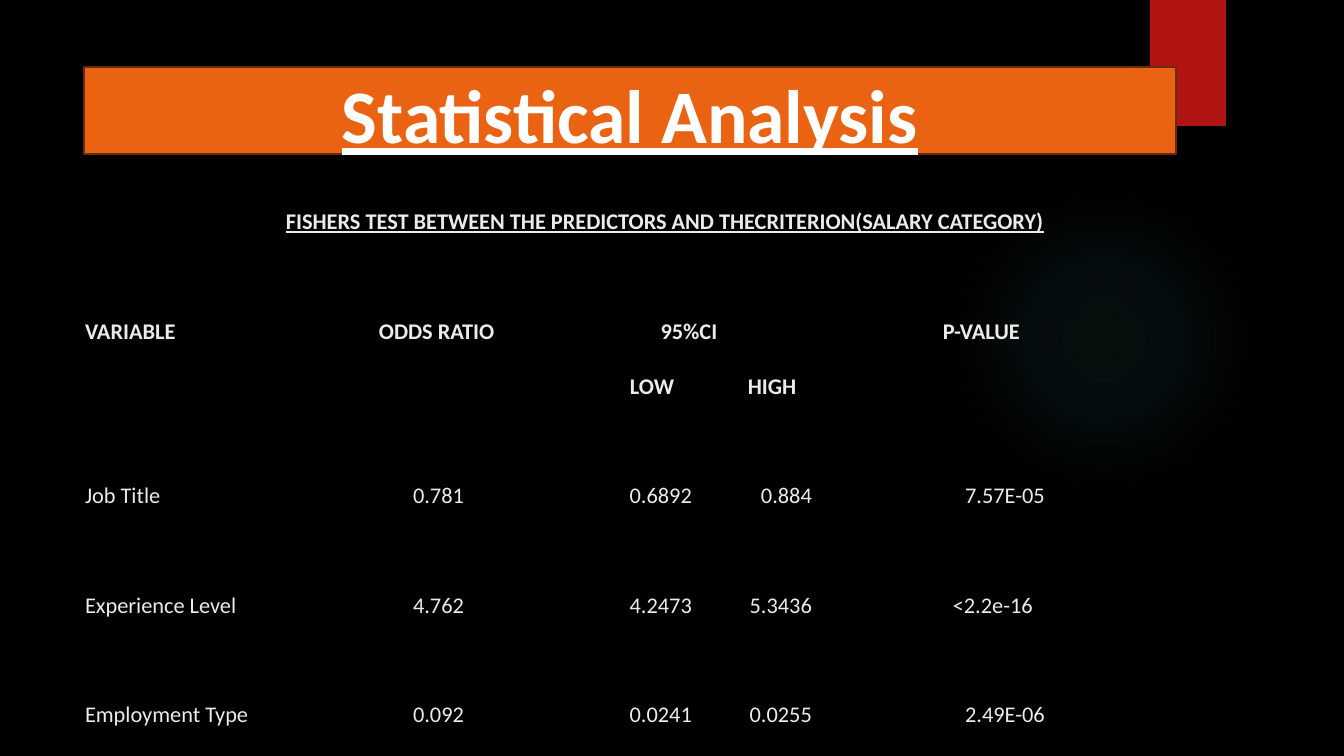
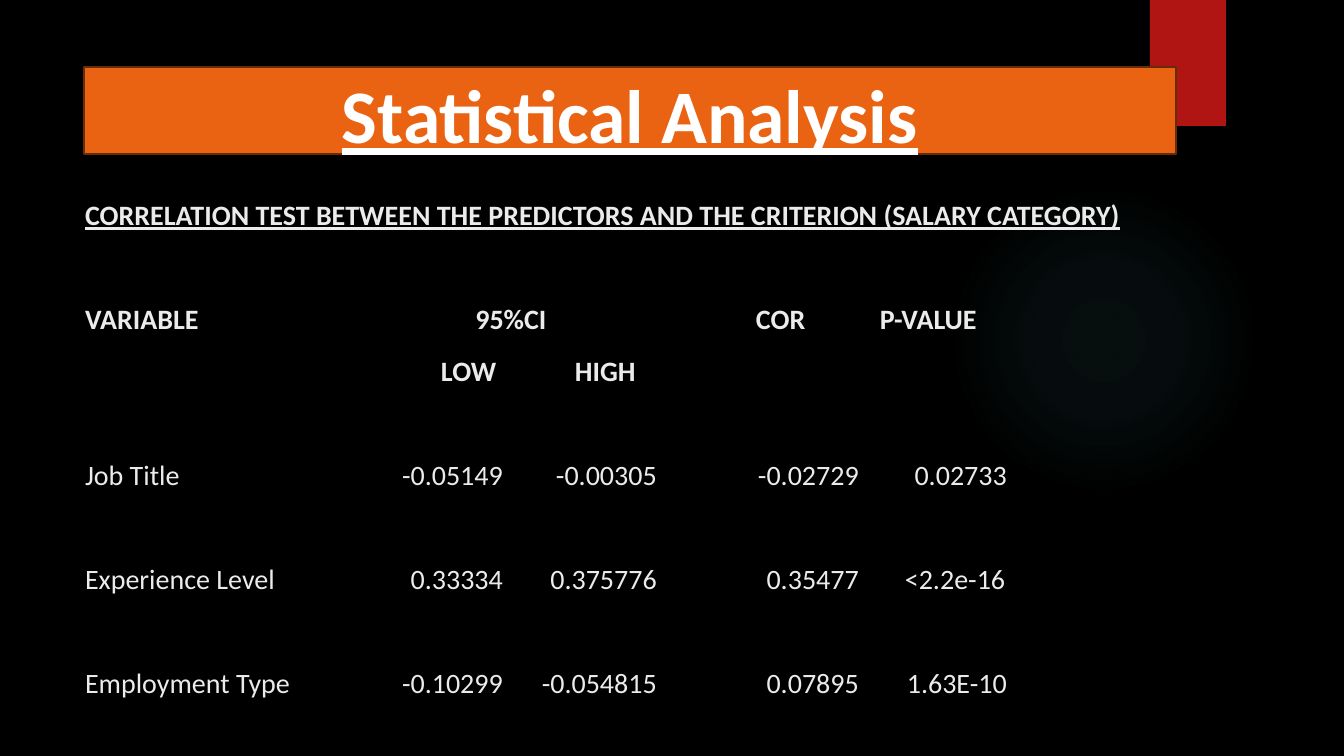
from pptx import Presentation
from pptx.dml.color import RGBColor
from pptx.enum import shapes, text
from pptx.oxml import parse_xml
from pptx.oxml.ns import nsdecls, qn
from pptx.util import Pt

PX = 914400 / 100.8
BLACK = RGBColor(0x00, 0x00, 0x00)
WHITE = RGBColor(0xFF, 0xFF, 0xFF)
LIGHT = RGBColor(0xEB, 0xEB, 0xEB)
ORANGE = RGBColor(0xEA, 0x63, 0x12)
BROWN = RGBColor(0x67, 0x2B, 0x08)
RED = RGBColor(0xB0, 0x15, 0x13)
TEAL = RGBColor(0x50, 0xB9, 0xC1)
FONT = "Calibri"
PLAIN_TABLE = "{2D5ABB26-0587-4C30-8999-92F81FD0307C}"
LEFT, CENTER, RIGHT = text.PP_ALIGN.LEFT, text.PP_ALIGN.CENTER, text.PP_ALIGN.RIGHT


def px(*lengths):
    return [round(length * PX) for length in lengths]


def style(paragraph, size, color, bold, underline):
    for run in paragraph.runs:
        run.font.name = FONT
        run.font.size = Pt(size)
        run.font.color.rgb = color
        run.font.bold = bold
        run.font.underline = underline


tests = [
    {
        "size": 16,
        "height": 548,
        "columns": [179, 100, 102, 100, 128, 120, 100, 133, 100, 100],
        "heading": ("FISHERS TEST BETWEEN THE PREDICTORS AND THECRITERION(SALARY CATEGORY)", CENTER),
        "labels": [
            (2, 0, "VARIABLE", 1, LEFT, 1),
            (2, 2, "ODDS RATIO", 2, LEFT, 16),
            (2, 4, "95%CI", 2, CENTER, 1),
            (2, 7, "P-VALUE", 1, LEFT, 30),
            (3, 4, "LOW", 1, LEFT, 65),
            (3, 5, "HIGH", 1, LEFT, 55),
        ],
        "value_columns": [2, 4, 5, 7],
        "bound_indent": 40,
        "predictors": [
            ("Job Title", 1, ["0.781", "0.6892", "0.884", "7.57E-05"]),
            ("Experience Level", 2, ["4.762", "4.2473", "5.3436", "<2.2e-16"]),
            ("Employment Type", 2, ["0.092", "0.0241", "0.0255", "2.49E-06"]),
        ],
    },
    {
        "size": 20,
        "height": 520,
        "columns": [71, 209, 140, 154, 72, 130, 148, 72, 72, 71],
        "heading": ("CORRELATION TEST BETWEEN THE PREDICTORS AND THE CRITERION (SALARY CATEGORY)", LEFT),
        "labels": [
            (2, 0, "VARIABLE", 2, LEFT, 1),
            (2, 2, "95%CI", 2, CENTER, 1),
            (2, 5, "COR", 1, LEFT, 26),
            (2, 6, "P-VALUE", 1, LEFT, 20),
            (3, 2, "LOW", 1, LEFT, 77),
            (3, 3, "HIGH", 1, LEFT, 71),
        ],
        "value_columns": [2, 3, 5, 6],
        "bound_indent": 45,
        "predictors": [
            ("Job Title", 2, ["-0.05149", "-0.00305", "-0.02729", "0.02733"]),
            ("Experience Level", 2, ["0.33334", "0.375776", "0.35477", "<2.2e-16"]),
            ("Employment Type", 2, ["-0.10299", "-0.054815", "0.07895", "1.63E-10"]),
        ],
    },
]

prs = Presentation()
prs.slide_width, prs.slide_height = px(1344, 756)
background = prs.slide_master.background.fill
background.solid()
background.fore_color.rgb = BLACK
layout = prs.slide_layouts[5]
slides = [prs.slides.add_slide(layout) for test in tests]

glow = slides[0].shapes.add_shape(shapes.MSO_SHAPE.OVAL, *px(949, 185, 310, 310))
glow.shadow.inherit = False
glow.line.fill.background()
stops = "".join(
    f'<a:gs pos="{place * 1000}"><a:srgbClr val="{TEAL}"><a:alpha val="{alpha * 1000}"/></a:srgbClr></a:gs>'
    for place, alpha in [(0, 7), (36, 6), (69, 0)]
)
glow.element.spPr.find(qn("a:prstGeom")).addnext(parse_xml(
    f'<a:gradFill {nsdecls("a")}><a:gsLst>{stops}</a:gsLst><a:path path="circle">'
    '<a:fillToRect l="50000" t="50000" r="50000" b="50000"/></a:path></a:gradFill>'
))

ribbon = slides[0].shapes.add_shape(shapes.MSO_SHAPE.RECTANGLE, *px(1150, 0, 76, 126))
ribbon.shadow.inherit = False
ribbon.fill.solid()
ribbon.fill.fore_color.rgb = RED
ribbon.line.fill.background()
ribbon.element.spPr.find(qn("a:effectLst")).append(parse_xml(
    f'<a:outerShdw {nsdecls("a")} blurRad="38100" dist="25400" dir="5400000" rotWithShape="0">'
    f'<a:srgbClr val="{BLACK}"><a:alpha val="45000"/></a:srgbClr></a:outerShdw>'
))

for ornament in (glow, ribbon):
    layout.shapes.element.append(ornament.element)

for slide, test in zip(slides, tests):
    title = slide.shapes.title
    title.left, title.top, title.width, title.height = px(84, 67, 1092, 87)
    title.fill.solid()
    title.fill.fore_color.rgb = ORANGE
    title.line.color.rgb = BROWN
    title.line.width = Pt(1.5)
    title.text_frame.text = "Statistical Analysis"
    title.text_frame.word_wrap = True
    title.text_frame.auto_size = text.MSO_AUTO_SIZE.NONE
    title.text_frame.vertical_anchor = text.MSO_ANCHOR.MIDDLE
    banner = title.text_frame.paragraphs[0]
    banner.alignment = CENTER
    banner.line_spacing = 1.07
    banner.space_after = Pt(8)
    style(banner, 54, WHITE, True, True)

    frame = slide.shapes.add_table(10, 10, *px(84, 181, sum(test["columns"]), test["height"]))
    for style_id in frame.element.iter(qn("a:tableStyleId")):
        style_id.text = PLAIN_TABLE
    results = frame.table
    results.first_row = False
    results.horz_banding = False
    for column, width in zip(results.columns, px(*test["columns"])):
        column.width = width
    for cell in results.iter_cells():
        cell.fill.background()
        cell.vertical_anchor = text.MSO_ANCHOR.BOTTOM
        cell.margin_left, cell.margin_right, cell.margin_top, cell.margin_bottom = px(1, 1, 1, 0)

    heading, heading_align = test["heading"]
    entries = [(0, 0, heading, 10, heading_align, 1)] + test["labels"]
    for number, (predictor, span, values) in enumerate(test["predictors"]):
        row = 5 + 2 * number
        entries.append((row, 0, predictor, span, LEFT, 1))
        for column, value in zip(test["value_columns"], values):
            is_bound = value.startswith("<")
            align, indent = (LEFT, test["bound_indent"]) if is_bound else (RIGHT, 1)
            entries.append((row, column, value, 1, align, indent))

    for row, column, wording, span, align, indent in entries:
        cell = results.cell(row, column)
        if span > 1:
            cell.merge(results.cell(row, column + span - 1))
        cell.text_frame.text = wording
        cell.margin_left = px(indent)[0]
        paragraph = cell.text_frame.paragraphs[0]
        paragraph.alignment = align
        style(paragraph, test["size"], LIGHT, row < 5, row == 0)

prs.save("out.pptx")
